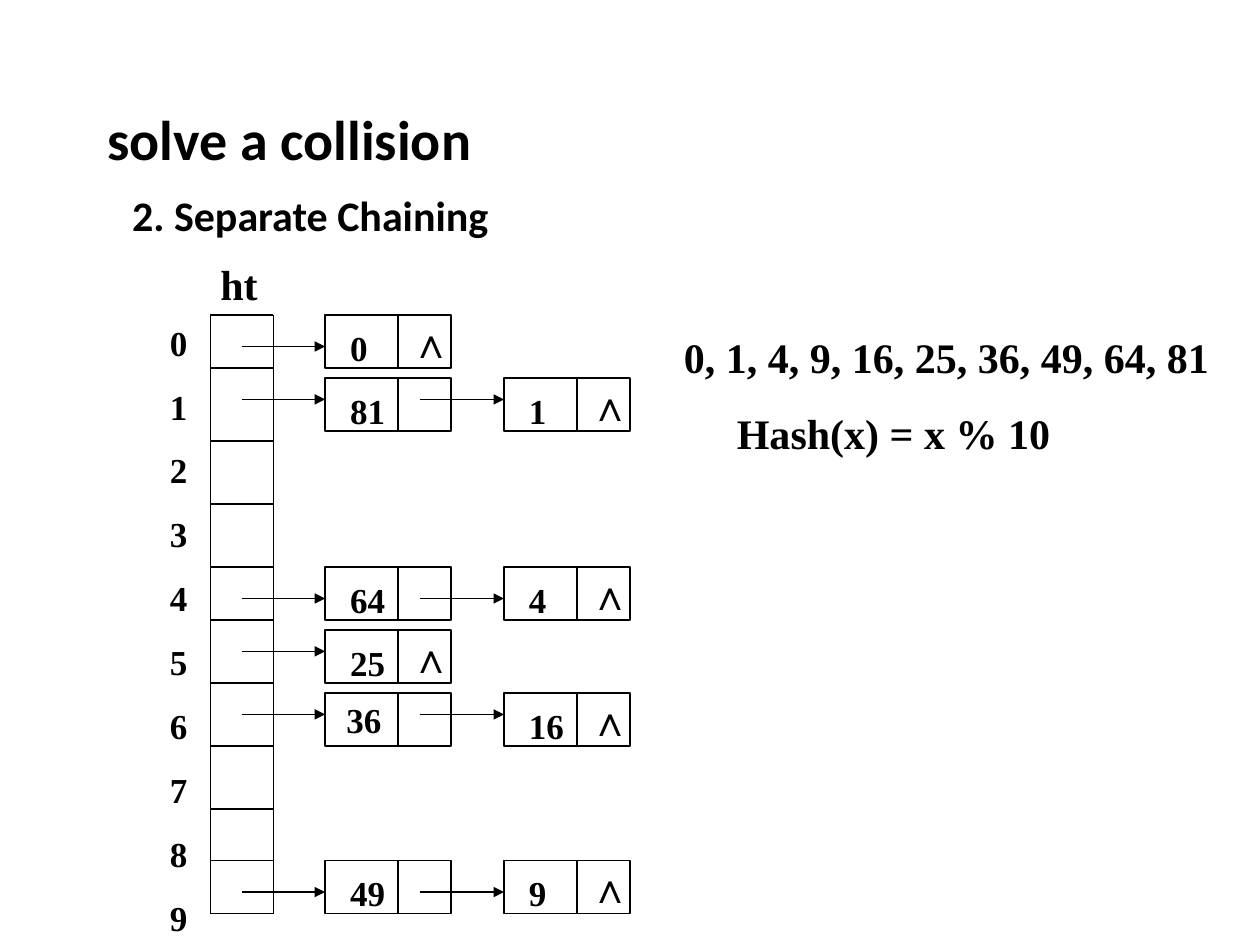
from lxml import etree
from pptx import Presentation
from pptx import util as u
from pptx.dml.color import RGBColor
from pptx.enum import shapes, text
from pptx.oxml.ns import qn

BLACK = "000000"
SERIF = "Times New Roman"


def draw_line(x1, y1, x2, y2, arrow=False):
    line = page.shapes.add_connector(
        shapes.MSO_CONNECTOR.STRAIGHT,
        u.Inches(x1), u.Inches(y1), u.Inches(x2), u.Inches(y2))
    line.line.color.rgb = RGBColor.from_string(BLACK)
    line.line.width = u.Pt(0.75)
    if arrow:
        etree.SubElement(line.line._get_or_add_ln(), qn("a:tailEnd"), type="triangle")
    etree.SubElement(line._element.spPr, qn("a:effectLst"))


def add_span(para, words, size, font=SERIF):
    span = para.add_run()
    span.text = words
    values = {"name": font, "size": u.Pt(size), "bold": True}
    for key, value in values.items():
        setattr(span.font, key, value)
    span.font.color.rgb = RGBColor.from_string(BLACK)


deck = Presentation()
deck.slide_width, deck.slide_height = u.Inches(10), u.Inches(7.5)
page = deck.slides.add_slide(deck.slide_layouts[5])

title = page.shapes.title
title_place = {"left": 0.75, "top": 0.67, "width": 8.5, "height": 0.92}
for key, value in title_place.items():
    setattr(title, key, u.Inches(value))
title.text_frame.auto_size = text.MSO_AUTO_SIZE.NONE
title.text_frame.vertical_anchor = text.MSO_ANCHOR.MIDDLE
heading = title.text_frame.paragraphs[0]
heading.alignment = text.PP_ALIGN.LEFT
heading.line_spacing = 0.9
add_span(heading, "solve a collision", 32, "Calibri")

# Text blocks: place, lines, size, font, wrap, space before, line spacing, last indent
blocks = [
    ((0.95, 1.5, 8.3, 0.5), ["2. Separate Chaining"], 24, "Calibri", True, 0, 0.9, 0),
    ((1.65, 2, 0.5, 0.5), ["ht"], 24, SERIF, False, 0, 1, 0),
    ((1.25, 2.5, 0.33, 5), [str(i) for i in range(10)], 20, SERIF, True, 12.5, 1, 0),
    ((5.33, 2.58, 4.5, 1.11),
     ["0, 1, 4, 9, 16, 25, 36, 49, 64, 81", "Hash(x) = x % 10"],
     24, SERIF, True, 15, 1, 0.42),
]
for place, lines, size, font, wrap, before, spacing, indent in blocks:
    box = page.shapes.add_textbox(*map(u.Inches, place))
    box.text_frame.word_wrap = wrap
    for number, words in enumerate(lines):
        para = box.text_frame.paragraphs[0]
        if number:
            para = box.text_frame.add_paragraph()
            para.space_before = u.Pt(before)
        para.line_spacing = spacing
        if indent and number == len(lines) - 1:
            para._p.get_or_add_pPr().set("marL", str(u.Inches(indent)))
        add_span(para, words, size, font)

# Hash table column
table_left, table_right = 1.67, 2.17
bucket_edges = [2.5, 2.92, 3.5, 4, 4.5, 4.92, 5.42, 5.92, 6.42, 6.83, 7.25]
for edge in bucket_edges:
    draw_line(table_left, edge, table_right, edge)
for side in (table_left, table_right):
    draw_line(side, bucket_edges[0], side, bucket_edges[-1])

# Chains: top of the nodes, height of the arrows, values
chains = [
    (2.5, 2.75, ["0"]),
    (3, 3.17, ["81", "1"]),
    (4.5, 4.75, ["64", "4"]),
    (5, 5.17, ["25"]),
    (5.5, 5.67, ["36", "16"]),
    (6.83, 7.08, ["49", "9"]),
]
node_lefts = [2.58, 4]
arrow_starts = [1.92, 3.33]
node_height, pointer_offset, pointer_width = 0.42, 0.58, 0.53

for top, arrow_y, values in chains:
    for left, start, value in zip(node_lefts, arrow_starts, values):
        node = page.shapes.add_shape(
            shapes.MSO_SHAPE.RECTANGLE,
            *map(u.Inches, (left, top, 1, node_height)))
        node.shadow.inherit = False
        node.fill.background()
        node.line.color.rgb = RGBColor.from_string(BLACK)
        node.line.width = u.Pt(0.75)
        frame = node.text_frame
        frame.word_wrap = True
        frame.vertical_anchor = text.MSO_ANCHOR.MIDDLE
        para = frame.paragraphs[0]
        para.alignment = text.PP_ALIGN.LEFT
        lead_size, lead_tab = (20, 0.07) if value == "36" else (28, 0.1)
        tabs = etree.SubElement(para._p.get_or_add_pPr(), qn("a:tabLst"))
        etree.SubElement(tabs, qn("a:tab"), pos=str(u.Inches(lead_tab)), algn="l")
        add_span(para, "\t", lead_size)
        add_span(para, value, 20)

        divider = left + pointer_offset
        draw_line(divider, top, divider, top + node_height)
        draw_line(start, arrow_y, left, arrow_y, arrow=True)
        if value == values[-1]:
            null_mark = page.shapes.add_textbox(
                *map(u.Inches, (divider, top, pointer_width, node_height)))
            null_mark.text_frame.word_wrap = False
            null_mark.text_frame.vertical_anchor = text.MSO_ANCHOR.MIDDLE
            add_span(null_mark.text_frame.paragraphs[0], "∧", 24, "Arial")

deck.save("out.pptx")
